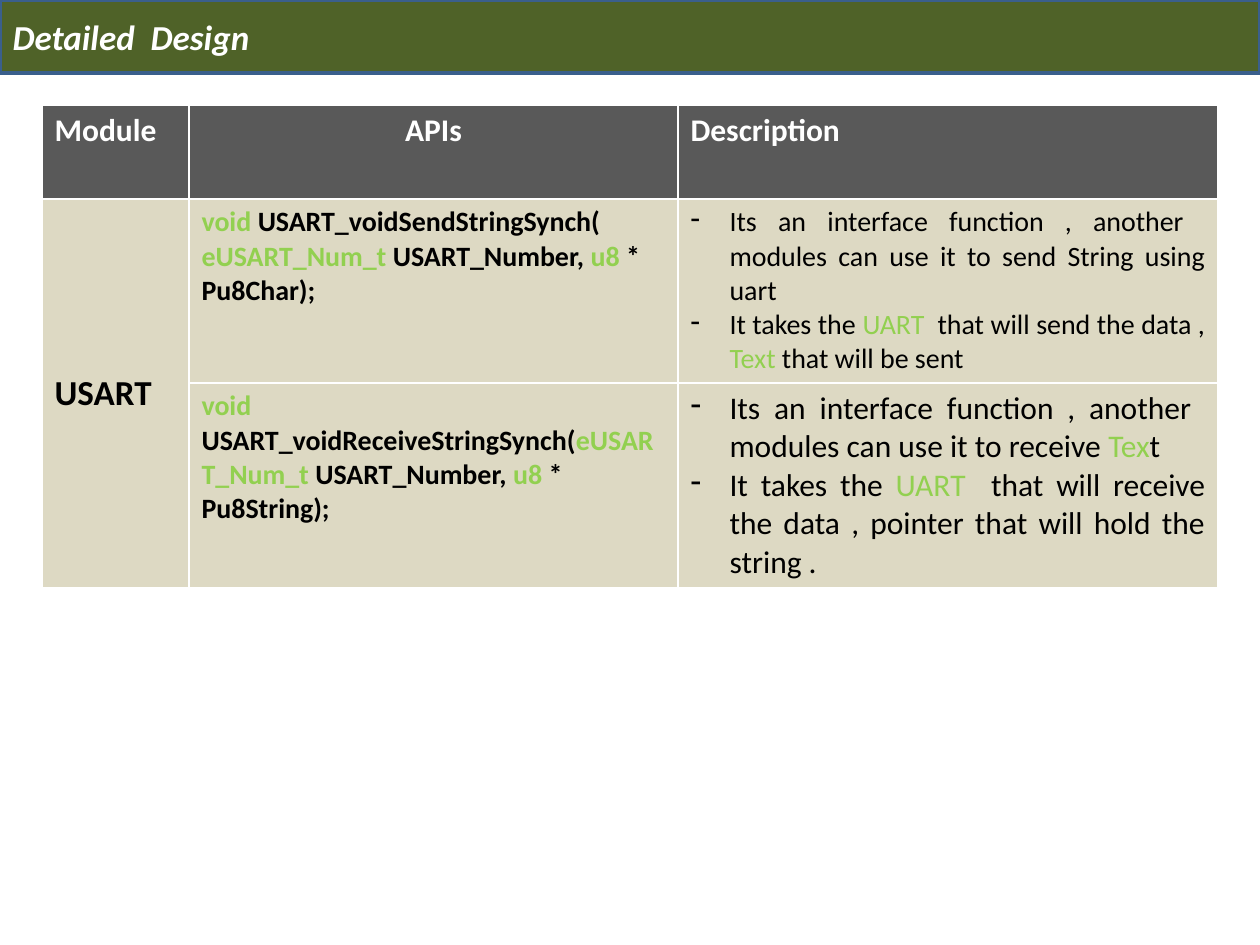
from lxml import etree
from pptx import Presentation
from pptx import util as u
from pptx.dml.color import RGBColor
from pptx.enum import text
from pptx.oxml import ns

PX = 914400 / 126
FONT = "Calibri"
WHITE = RGBColor(0xFF, 0xFF, 0xFF)
BLACK = RGBColor(0, 0, 0)
OLIVE = RGBColor(0x4F, 0x62, 0x28)
NAVY = RGBColor(0x3A, 0x5F, 0x8C)
GRAY = RGBColor(0x59, 0x59, 0x59)
SAND = RGBColor(0xDD, 0xD9, 0xC3)
LIME = RGBColor(0x92, 0xD0, 0x50)

LEFT, MID = text.PP_ALIGN.LEFT, text.PP_ALIGN.CENTER
HEADS = [("Module", LEFT), ("APIs", MID), ("Description", LEFT)]
SEND = ["|void |USART_voidSendStringSynch(",
        "|eUSART_Num_t |USART_Number, |u8| * Pu8Char);"]
SEND_INFO = ["Its an interface function , another  modules can use it to send String using uart",
             "It takes the |UART | that will send the data , |Text| that will be sent"]
GET = ["|void |USART_voidReceiveStringSynch(|eUSART_Num_t |USART_Number, |u8 |* Pu8String);"]
GET_INFO = ["Its an interface function , another  modules can use it to receive |Tex|t",
            "It takes the |UART | that will receive the data , pointer that will hold the string ."]
ROWS = [(SEND, SEND_INFO, 16), (GET, GET_INFO, 18)]


def emu(px):
    """Turn px into EMU."""
    return u.Emu(round(px * PX))


def style(font, size, color, bold):
    """Set the face, size, colour and weight of a font."""
    font.name, font.size, font.bold = FONT, u.Pt(size), bold
    font.color.rgb = color


def paint(cell, color):
    """Give a cell a solid fill."""
    cell.fill.solid()
    cell.fill.fore_color.rgb = color


def dash(para):
    """Turn a paragraph into a justified, dashed list item."""
    para.alignment = text.PP_ALIGN.JUSTIFY
    props = para._p.get_or_add_pPr()
    props.set("marL", str(emu(39)))
    props.set("indent", str(-emu(39)))
    etree.SubElement(props, ns.qn("a:buChar")).set("char", "-")


def label(cell, words, size, color, align=LEFT):
    """Write one bold line in a cell."""
    cell.text_frame.text = words
    para = cell.text_frame.paragraphs[0]
    para.alignment = align
    style(para.runs[0].font, size, color, True)


def write(cell, lines, size, bold, listed):
    """Write lines in which every second piece between bars is lime."""
    frame = cell.text_frame
    paint(cell, SAND)
    for i, line in enumerate(lines):
        para = frame.add_paragraph() if i else frame.paragraphs[0]
        if listed:
            dash(para)
        for j, piece in enumerate(line.split("|")):
            if piece:
                run = para.add_run()
                run.text = piece
                style(run.font, size, LIME if j % 2 else BLACK, bold)


def add_title(slide, x, y, w, h):
    """Place the title as a filled band."""
    title = slide.shapes.title
    title.left, title.top, title.width, title.height = map(emu, (x, y, w, h))
    title.fill.solid()
    title.fill.fore_color.rgb = OLIVE
    title.line.color.rgb = NAVY
    title.line.width = u.Pt(2)
    frame = title.text_frame
    frame.text = "Detailed  Design"
    frame.auto_size = text.MSO_AUTO_SIZE.NONE
    frame.vertical_anchor = text.MSO_ANCHOR.MIDDLE
    para = frame.paragraphs[0]
    para.alignment = LEFT
    style(para.runs[0].font, 20, WHITE, True)
    para.runs[0].font.italic = True


def add_apis(slide, x, y, w, h):
    """Place the table of module functions."""
    table = slide.shapes.add_table(3, 3, *map(emu, (x, y, w, h))).table
    for col, width in zip(table.columns, (147, 489, w - 636)):
        col.width = emu(width)
    for row, height in zip(table.rows, (94, 184, h - 278)):
        row.height = emu(height)
    for i, (words, align) in enumerate(HEADS):
        paint(table.cell(0, i), GRAY)
        label(table.cell(0, i), words, 18, WHITE, align)
    module = table.cell(1, 0)
    module.merge(table.cell(2, 0))
    module.vertical_anchor = text.MSO_ANCHOR.MIDDLE
    paint(module, SAND)
    label(module, "USART", 20, BLACK)
    for i, (code, info, size) in enumerate(ROWS, 1):
        write(table.cell(i, 1), code, 16, True, False)
        write(table.cell(i, 2), info, size, False, True)


def main():
    """Build and save the slide."""
    deck = Presentation()
    deck.slide_width, deck.slide_height = emu(1260), emu(945)
    slide = deck.slides.add_slide(deck.slide_layouts[5])
    add_title(slide, 0, 0, 1260, 73)
    add_apis(slide, 42, 105, 1176, 482)
    deck.save("out.pptx")


if __name__ == "__main__":
    main()
